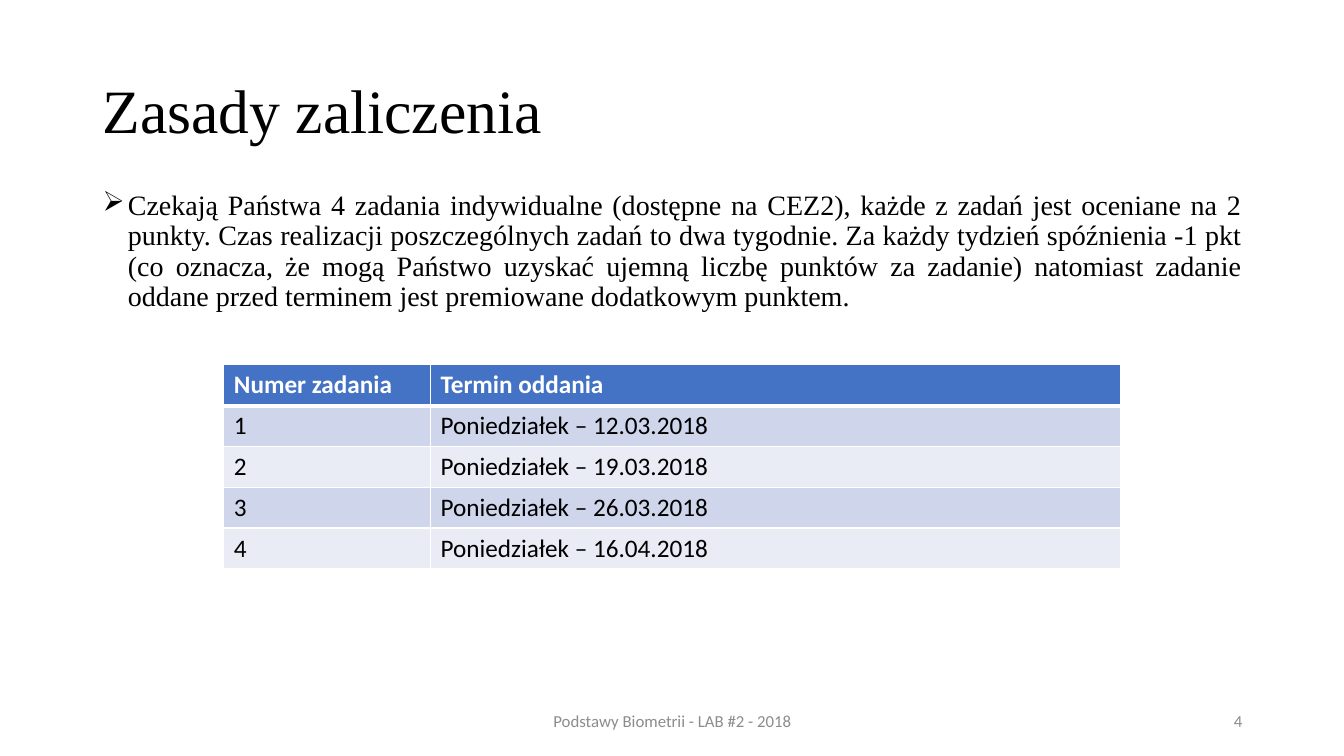
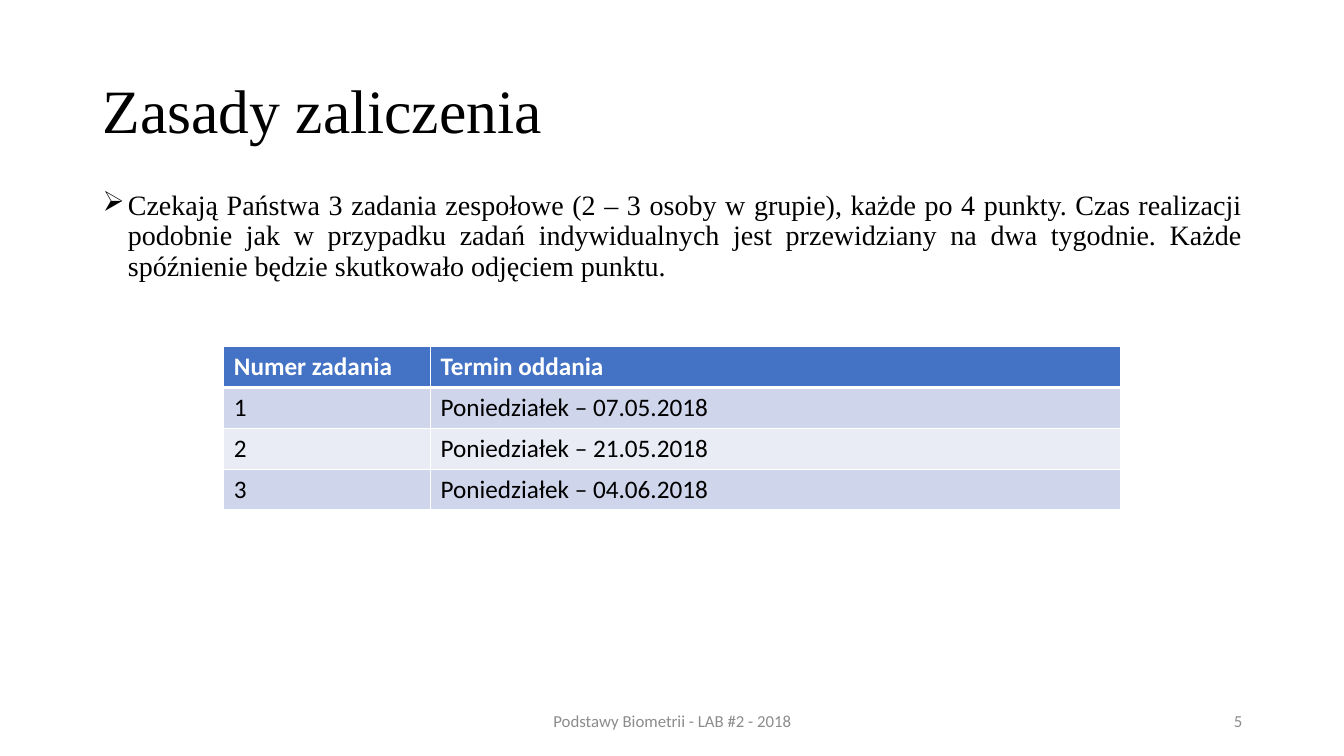
import pptx
import pptx.util
import pptx.dml.color
import pptx.enum.text
import pptx.oxml.ns
from lxml import etree

Inches = pptx.util.Inches
Pt = pptx.util.Pt
RGBColor = pptx.dml.color.RGBColor
Align = pptx.enum.text.PP_ALIGN
Anchor = pptx.enum.text.MSO_ANCHOR
qn = pptx.oxml.ns.qn

# Content
TITLE = "Zasady zaliczenia"
FOOTER = "Podstawy Biometrii - LAB #2 - 2018"
TABLE_HEADER = ("Numer zadania", "Termin oddania")
FIRST_NUMBER = 4
SLIDES = [
    {
        "rules": "Czekają Państwa 4 zadania indywidualne (dostępne na CEZ2), każde z zadań "
                 "jest oceniane na 2 punkty. Czas realizacji poszczególnych zadań to dwa "
                 "tygodnie. Za każdy tydzień spóźnienia -1 pkt (co oznacza, że mogą Państwo "
                 "uzyskać ujemną liczbę punktów za zadanie) natomiast zadanie oddane przed "
                 "terminem jest premiowane dodatkowym punktem.",
        "table_top": 3.62,
        "dates": ["12.03.2018", "19.03.2018", "26.03.2018", "16.04.2018"],
    },
    {
        "rules": "Czekają Państwa 3 zadania zespołowe (2 – 3 osoby w grupie), każde po "
                 "4 punkty. Czas realizacji podobnie jak w przypadku zadań indywidualnych "
                 "jest przewidziany na dwa tygodnie. Każde spóźnienie będzie skutkowało "
                 "odjęciem punktu.",
        "table_top": 3.44,
        "dates": ["07.05.2018", "21.05.2018", "04.06.2018"],
    },
]


class Theme:
    serif, sans = "Times New Roman", "Calibri"
    black, white, grey = "000000", "FFFFFF", "8C8C8C"
    header_fill = "4472C4"
    band_fills = ("CFD5EA", "E9EBF5")
    title_size, body_size, table_size, footer_size = 44, 20, 18, 12
    thin, thick = 1, 3


# Layout in inches
SLIDE_SIZE = (13.33, 7.5)
TITLE_AREA = (0.92, 0.4, 11.5, 1.45)
RULES_AREA = (0.92, 1.85, 11.5, 4.81)
FOOTER_AREA = (4.42, 6.95, 4.5, 0.4)
NUMBER_AREA = (9.42, 6.95, 3, 0.4)
TABLE_LEFT = 2.22
COLUMN_WIDTHS = (2.05, 6.84)
ROW_HEIGHT = 0.405
BULLET_INDENT = 0.25


def write(frame, text, size, font=Theme.sans, color=Theme.black, bold=False,
          align=Align.LEFT, line_spacing=None, space_before=None, bullet=None):
    """Put one formatted paragraph in a text frame."""
    para = frame.paragraphs[0]
    para.alignment = align
    if line_spacing is not None:
        para.line_spacing = line_spacing
    if space_before is not None:
        para.space_before = Pt(space_before)
    if bullet:
        props = para._p.get_or_add_pPr()
        props.set("marL", str(Inches(BULLET_INDENT)))
        props.set("indent", str(-Inches(BULLET_INDENT)))
        etree.SubElement(props, qn("a:buChar")).set("char", bullet)
    span = para.add_run()
    span.text = text
    span.font.name = font
    span.font.size = Pt(size)
    span.font.bold = bold
    span.font.color.rgb = RGBColor.from_string(color)


def add_text(page, area, text, anchor=Anchor.MIDDLE, **style):
    box = page.shapes.add_textbox(*map(Inches, area))
    box.text_frame.word_wrap = True
    box.text_frame.vertical_anchor = anchor
    write(box.text_frame, text, **style)


def set_borders(cell, **widths):
    """Draw white cell borders; widths are points keyed by side."""
    props = cell._tc.get_or_add_tcPr()
    for side in "LRTB":
        line = etree.SubElement(props, qn(f"a:ln{side}"))
        line.set("w", str(Pt(widths.get(side, Theme.thin))))
        fill = etree.SubElement(line, qn("a:solidFill"))
        etree.SubElement(fill, qn("a:srgbClr")).set("val", Theme.white)


def add_deadlines(page, top, dates):
    rows = [TABLE_HEADER]
    rows += [(str(number), f"Poniedziałek – {date}") for number, date in enumerate(dates, 1)]
    table = page.shapes.add_table(
        len(rows), len(COLUMN_WIDTHS), Inches(TABLE_LEFT), Inches(top),
        Inches(sum(COLUMN_WIDTHS)), Inches(ROW_HEIGHT * len(rows))).table
    for column, width in zip(table.columns, COLUMN_WIDTHS):
        column.width = Inches(width)
    for r, texts in enumerate(rows):
        table.rows[r].height = Inches(ROW_HEIGHT)
        header = r == 0
        fill = Theme.header_fill if header else Theme.band_fills[(r - 1) % 2]
        # The thick rule lies between the header and the first row
        edges = {0: {"B": Theme.thick}, 1: {"T": Theme.thick}}.get(r, {})
        for c, text in enumerate(texts):
            cell = table.cell(r, c)
            set_borders(cell, **edges)
            cell.fill.solid()
            cell.fill.fore_color.rgb = RGBColor.from_string(fill)
            write(cell.text_frame, text, Theme.table_size, bold=header,
                  color=Theme.white if header else Theme.black)


def add_page(deck, number):
    """Add a page with the shared title and footer."""
    page = deck.slides.add_slide(deck.slide_layouts[6])
    add_text(page, TITLE_AREA, TITLE, size=Theme.title_size, font=Theme.serif,
             line_spacing=0.9)
    for area, text, align in ((FOOTER_AREA, FOOTER, Align.CENTER),
                              (NUMBER_AREA, str(number), Align.RIGHT)):
        add_text(page, area, text, size=Theme.footer_size, color=Theme.grey, align=align)
    return page


def main():
    deck = pptx.Presentation()
    deck.slide_width, deck.slide_height = map(Inches, SLIDE_SIZE)
    for number, content in enumerate(SLIDES, FIRST_NUMBER):
        page = add_page(deck, number)
        add_text(page, RULES_AREA, content["rules"], anchor=Anchor.TOP,
                 size=Theme.body_size, font=Theme.serif, align=Align.JUSTIFY,
                 line_spacing=0.9, space_before=10, bullet="➢")
        add_deadlines(page, content["table_top"], content["dates"])
    deck.save("out.pptx")


if __name__ == "__main__":
    main()
